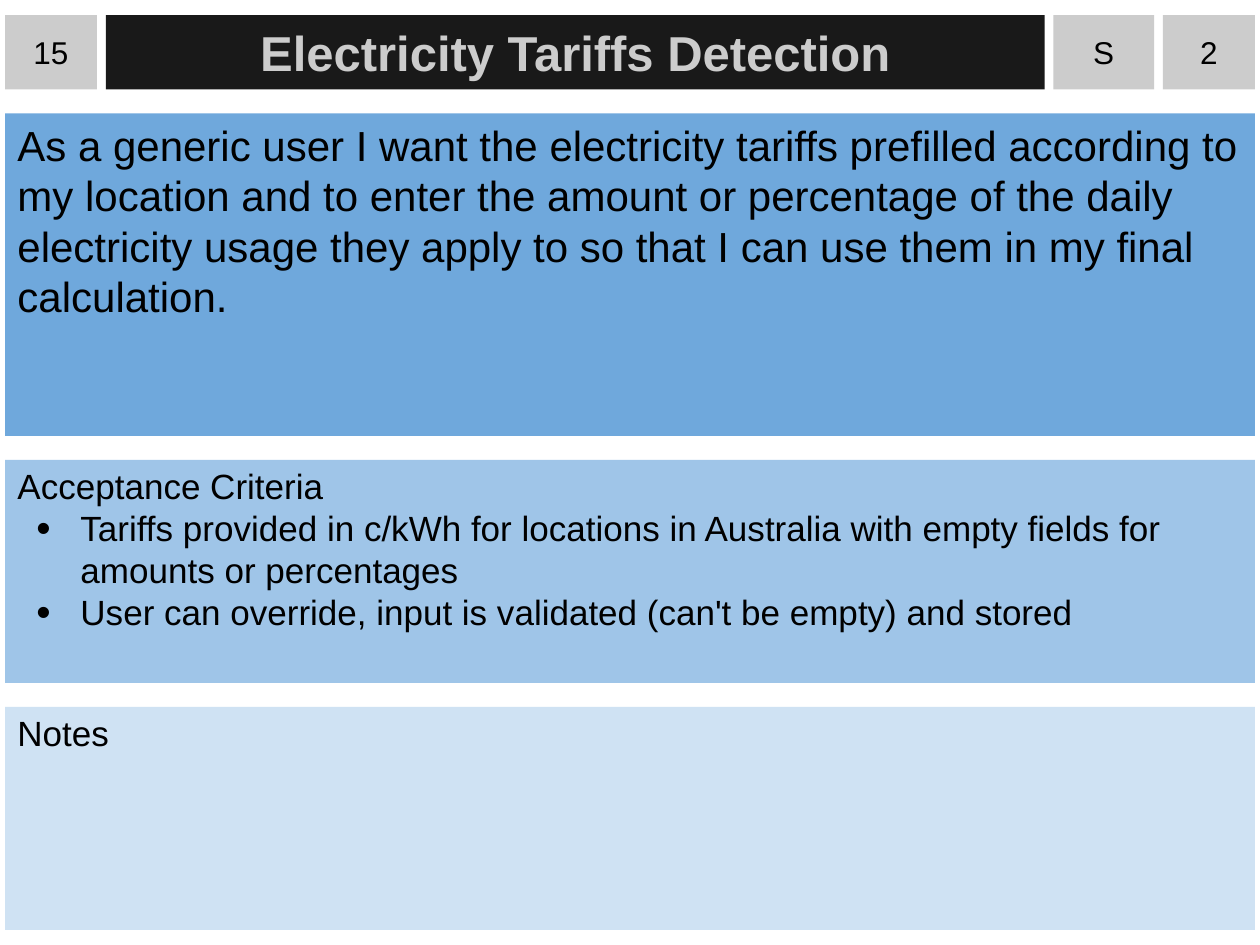
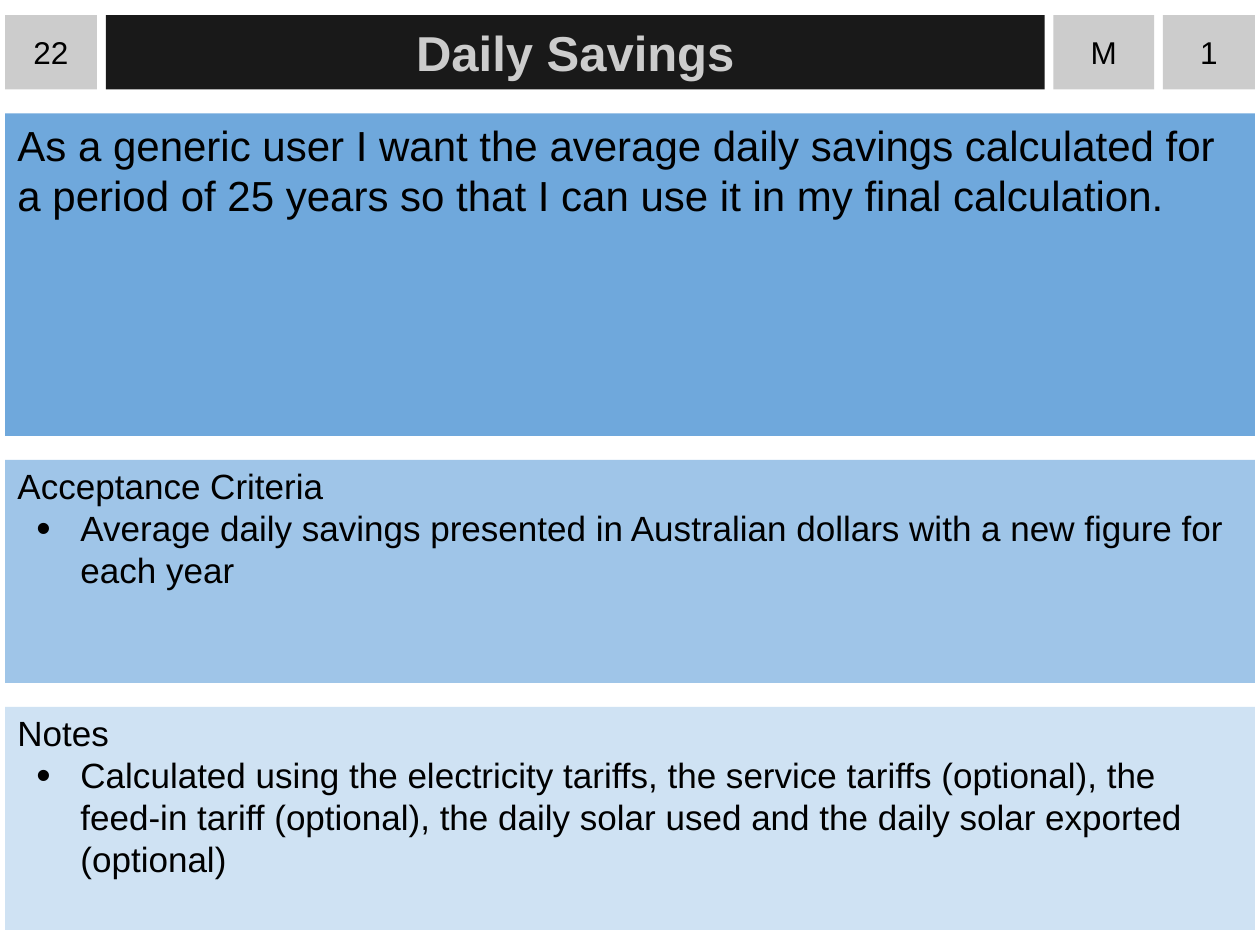
from lxml import etree
from pptx import Presentation
from pptx.dml.color import RGBColor
from pptx.enum import shapes, text
from pptx.oxml import ns
from pptx.util import Inches, Pt

FONT = "Arial"
BLACK, GREY, DARK = "000000", "CCCCCC", "191919"
STORY_BLUE, CRITERIA_BLUE, NOTES_BLUE = "6FA8DC", "9FC5E8", "CFE2F3"

EDGE, FULL_WIDTH = 0.04, 9.92
HEADER_TOP, HEADER_HEIGHT = 0.12, 0.59
FIRST_PANEL_TOP, PANEL_GAP = 0.9, 0.19

cards = [
    {
        "number": "15",
        "title": "Electricity Tariffs Detection",
        "size": "S",
        "priority": "2",
        "story": "As a generic user I want the electricity tariffs prefilled according to my "
                 "location and to enter the amount or percentage of the daily electricity usage "
                 "they apply to so that I can use them in my final calculation.",
        "criteria": [
            "Tariffs provided in c/kWh for locations in Australia with empty fields for "
            "amounts or percentages",
            "User can override, input is validated (can't be empty) and stored",
        ],
        "notes": [],
    },
    {
        "number": "22",
        "title": "Daily Savings",
        "size": "M",
        "priority": "1",
        "story": "As a generic user I want the average daily savings calculated for a period of "
                 "25 years so that I can use it in my final calculation.",
        "criteria": [
            "Average daily savings presented in Australian dollars with a new figure for each year",
        ],
        "notes": [
            "Calculated using the electricity tariffs, the service tariffs (optional), the "
            "feed-in tariff (optional), the daily solar used and the daily solar exported "
            "(optional)",
        ],
    },
]


def add_box(page, left, top, width, height, fill, lines, size, color=BLACK, bold=False,
            centred=False, side_inset=0.1, top_inset=0.05):
    """Draw a filled rectangle; every line after the first is a bullet."""
    box = page.shapes.add_shape(shapes.MSO_SHAPE.RECTANGLE, Inches(left), Inches(top),
                                Inches(width), Inches(height))
    box.shadow.inherit = False
    box.fill.solid()
    box.fill.fore_color.rgb = RGBColor.from_string(fill)
    box.line.fill.background()

    frame = box.text_frame
    frame.word_wrap = True
    frame.vertical_anchor = text.MSO_ANCHOR.MIDDLE if centred else text.MSO_ANCHOR.TOP
    frame.margin_left = frame.margin_right = Inches(side_inset)
    frame.margin_top, frame.margin_bottom = Inches(top_inset), Inches(0.05)
    frame.text = "\n".join(lines)

    for index, para in enumerate(frame.paragraphs):
        para.alignment = text.PP_ALIGN.CENTER if centred else text.PP_ALIGN.LEFT
        for span in para.runs:
            span.font.name = FONT
            span.font.size = Pt(size)
            span.font.bold = bold
            span.font.color.rgb = RGBColor.from_string(color)
        if index > 0:
            add_bullet(para)


def add_bullet(para):
    properties = para._p.get_or_add_pPr()
    properties.set("marL", str(Inches(0.5)))
    properties.set("indent", str(Inches(-0.35)))
    bullet_color = etree.SubElement(properties, ns.qn("a:buClr"))
    etree.SubElement(bullet_color, ns.qn("a:srgbClr"), val=BLACK)
    etree.SubElement(properties, ns.qn("a:buSzPct"), val="117000")
    etree.SubElement(properties, ns.qn("a:buFont"), typeface=FONT)
    etree.SubElement(properties, ns.qn("a:buChar"), char="•")


deck = Presentation()
deck.slide_width, deck.slide_height = Inches(10), Inches(7.5)

for card in cards:
    page = deck.slides.add_slide(deck.slide_layouts[6])

    add_box(page, 0.84, HEADER_TOP, 7.45, HEADER_HEIGHT, DARK, [card["title"]], 28,
            color=GREY, bold=True, centred=True)
    for field, left, width in [("number", EDGE, 0.73), ("size", 8.36, 0.8),
                               ("priority", 9.23, 0.73)]:
        add_box(page, left, HEADER_TOP, width, HEADER_HEIGHT, GREY, [card[field]], 18,
                centred=True, side_inset=0)

    panels = [
        (2.56, STORY_BLUE, [card["story"]], 24, 0.05),
        (1.77, CRITERIA_BLUE, ["Acceptance Criteria"] + card["criteria"], 20, 0.04),
        (1.77, NOTES_BLUE, ["Notes"] + card["notes"], 20, 0.04),
    ]
    top = FIRST_PANEL_TOP
    for height, fill, lines, size, top_inset in panels:
        add_box(page, EDGE, top, FULL_WIDTH, height, fill, lines, size, top_inset=top_inset)
        top += height + PANEL_GAP

deck.save("out.pptx")
